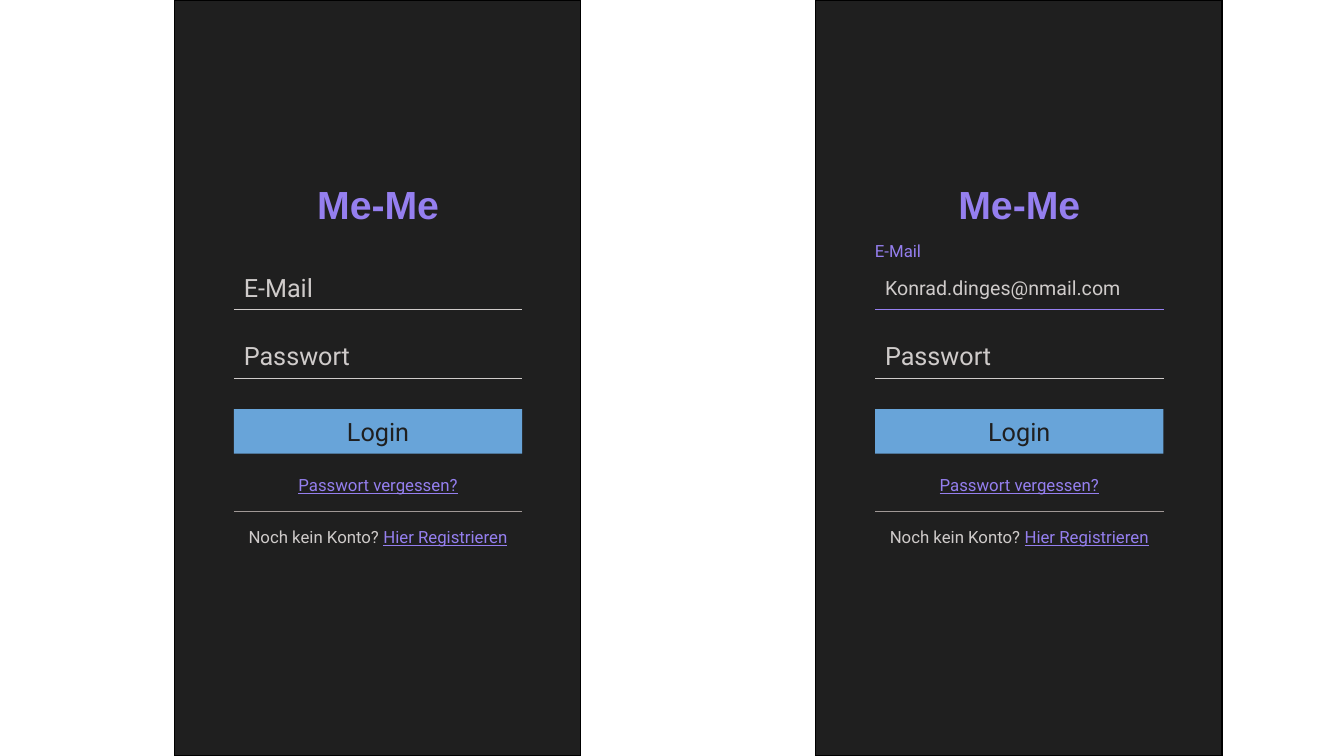
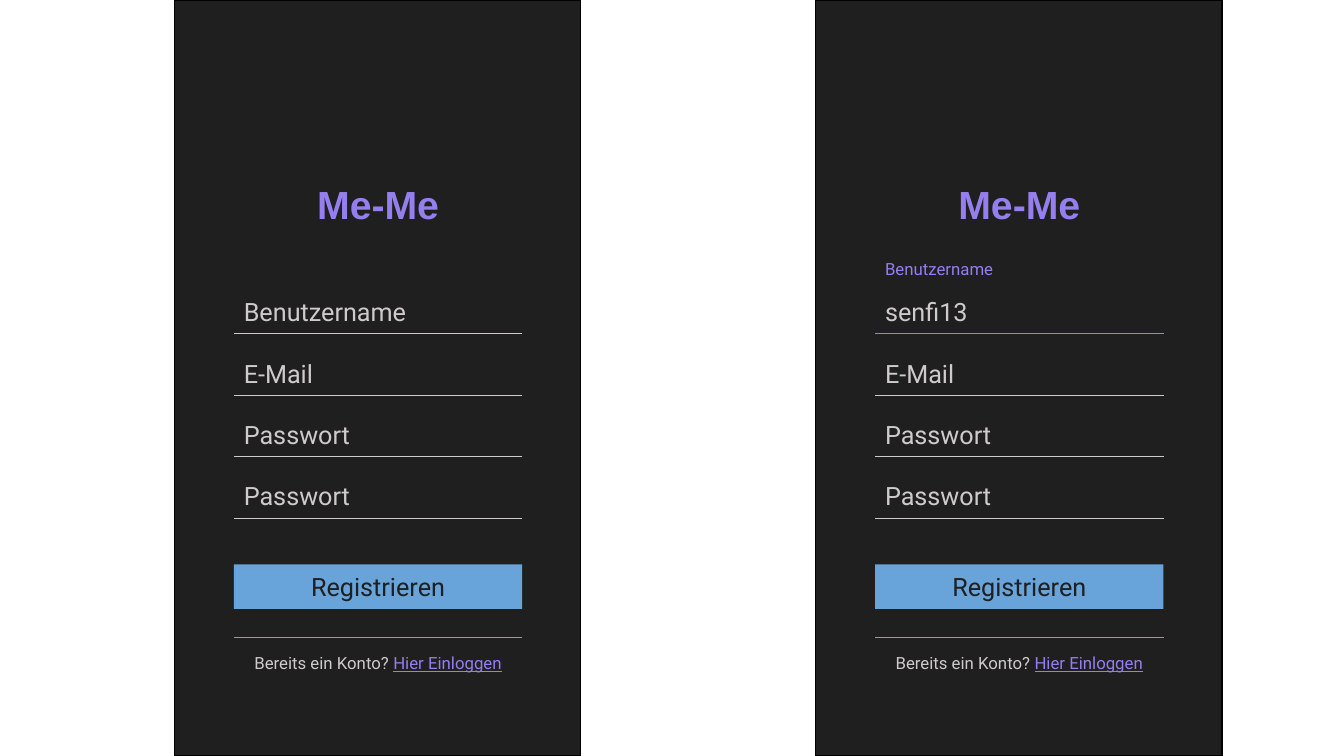
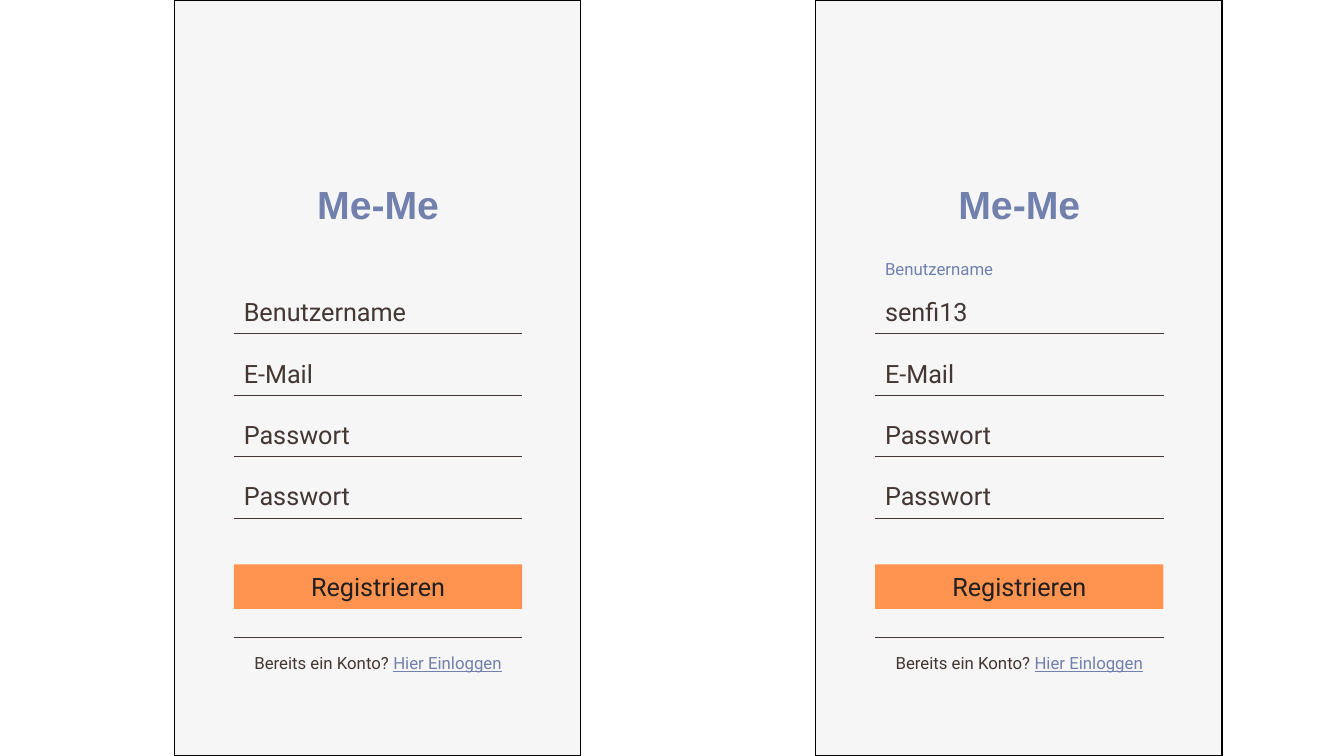
from dataclasses import dataclass

from lxml.etree import SubElement
from pptx import Presentation
from pptx.dml.color import RGBColor
from pptx.enum.shapes import MSO_CONNECTOR, MSO_SHAPE
from pptx.enum.text import MSO_ANCHOR, MSO_AUTO_SIZE, PP_ALIGN
from pptx.oxml.ns import qn
from pptx.shapes.base import BaseShape
from pptx.slide import Slide
from pptx.util import Inches, Pt

BLACK = RGBColor(0x00, 0x00, 0x00)
CHARCOAL = RGBColor(0x1F, 0x1F, 0x1F)
SILVER = RGBColor(0xCF, 0xCB, 0xCA)
TAUPE = RGBColor(0xA0, 0x98, 0x96)
VIOLET = RGBColor(0x95, 0x7F, 0xEF)
SKY = RGBColor(0x68, 0xA4, 0xD9)
PAPER = RGBColor(0xF6, 0xF6, 0xF6)
BROWN = RGBColor(0x43, 0x36, 0x33)
SLATE = RGBColor(0x71, 0x80, 0xAC)
ORANGE = RGBColor(0xFF, 0x93, 0x4F)

# Lengths in inches
SLIDE_WIDTH, SLIDE_HEIGHT = 13.33, 7.5
PHONE_LEFTS = (1.73, 8.09)
PHONE_WIDTH = 4.03
MARGIN = 0.59
ROW_WIDTH, ROW_HEIGHT = 2.86, 0.44
TITLE_TOP = 1.8
PROMPT_GAP = 0.04

BODY_SIZE, SMALL_SIZE = 18, 12


@dataclass(frozen=True)
class Theme:
    background: RGBColor
    text: RGBColor
    accent: RGBColor
    button: RGBColor
    divider: RGBColor
    focus: RGBColor


@dataclass(frozen=True)
class FilledField:
    """The first field once the user has typed in it, with its label moved above."""
    value: str
    size: int
    label_indent: float
    label_rise: float


@dataclass(frozen=True)
class Form:
    fields: tuple[str, ...]
    first_top: float
    step: float
    button: str
    button_top: float
    divider_top: float
    question: str
    link: str
    filled: FilledField
    help_link: str = ""
    help_top: float = 0


@dataclass(frozen=True)
class Span:
    text: str
    color: RGBColor
    underline: bool = False


DARK = Theme(CHARCOAL, SILVER, VIOLET, SKY, TAUPE, VIOLET)
LIGHT = Theme(PAPER, BROWN, SLATE, ORANGE, BROWN, BROWN)

LOGIN = Form(
    fields=("E-Mail", "Passwort"), first_top=2.63, step=0.68,
    button="Login", button_top=4.06, divider_top=5.07,
    question="Noch kein Konto? ", link="Hier Registrieren",
    filled=FilledField("Konrad.dinges@nmail.com", 14, -0.1, 0.36),
    help_link="Passwort vergessen?", help_top=4.59,
)
REGISTER = Form(
    fields=("Benutzername", "E-Mail", "Passwort", "Passwort"), first_top=2.87, step=0.61,
    button="Registrieren", button_top=5.6, divider_top=6.32,
    question="Bereits ein Konto? ", link="Hier Einloggen",
    filled=FilledField("senfi13", BODY_SIZE, 0, 0.42),
)
SCREENS = ((LOGIN, DARK), (REGISTER, DARK), (REGISTER, LIGHT))


def write(shape: BaseShape, *spans: Span, size: int = BODY_SIZE, font: str = "Roboto",
          bold: bool = False, align: PP_ALIGN = PP_ALIGN.LEFT) -> None:
    frame = shape.text_frame
    frame.word_wrap = True
    frame.auto_size = MSO_AUTO_SIZE.NONE
    frame.vertical_anchor = MSO_ANCHOR.MIDDLE
    para = frame.paragraphs[0]
    para.alignment = align
    for span in spans:
        run = para.add_run()
        run.text = span.text
        run.font.name = font
        run.font.size = Pt(size)
        run.font.bold = bold
        run.font.underline = span.underline
        run.font.color.rgb = span.color


def add_row_box(slide: Slide, left: float, top: float) -> BaseShape:
    return slide.shapes.add_textbox(
        Inches(left), Inches(top), Inches(ROW_WIDTH), Inches(ROW_HEIGHT))


def add_rectangle(slide: Slide, left: float, top: float, width: float, height: float,
                  fill: RGBColor) -> BaseShape:
    box = slide.shapes.add_shape(
        MSO_SHAPE.RECTANGLE, Inches(left), Inches(top), Inches(width), Inches(height))
    box.shadow.inherit = False
    box.fill.solid()
    box.fill.fore_color.rgb = fill
    box.line.fill.background()
    return box


def add_rule(slide: Slide, left: float, top: float, color: RGBColor) -> None:
    rule = slide.shapes.add_connector(
        MSO_CONNECTOR.STRAIGHT, Inches(left), Inches(top), Inches(left + ROW_WIDTH), Inches(top))
    rule.line.color.rgb = color
    rule.line.width = Pt(0.5)
    SubElement(rule._element.spPr, qn("a:effectLst"))


def add_phone(slide: Slide, left: float, theme: Theme) -> None:
    phone = add_rectangle(slide, left, 0, PHONE_WIDTH, SLIDE_HEIGHT, theme.background)
    phone.line.color.rgb = BLACK
    phone.line.width = Pt(1)


def raise_title(slide: Slide, left: float) -> BaseShape:
    """Place the title placeholder in the phone, in front of its background."""
    title = slide.shapes.title
    title.left, title.top = Inches(left), Inches(TITLE_TOP)
    title.width, title.height = Inches(ROW_WIDTH), Inches(ROW_HEIGHT)
    slide.shapes._spTree.append(title._element)
    return title


def add_fields(slide: Slide, left: float, form: Form, theme: Theme, is_filled: bool) -> None:
    for index, name in enumerate(form.fields):
        top = form.first_top + index * form.step
        text, size, rule_color = name, BODY_SIZE, theme.text
        if is_filled and index == 0:
            filled = form.filled
            text, size, rule_color = filled.value, filled.size, theme.focus
            label = add_row_box(slide, left + filled.label_indent, top - filled.label_rise)
            write(label, Span(name, theme.accent), size=SMALL_SIZE)
        write(add_row_box(slide, left, top), Span(text, theme.text), size=size)
        add_rule(slide, left, top + ROW_HEIGHT, rule_color)


def add_screen(slide: Slide, phone_left: float, form: Form, theme: Theme,
               is_filled: bool) -> None:
    add_phone(slide, phone_left, theme)
    left = phone_left + MARGIN
    heading = add_row_box(slide, left, TITLE_TOP) if is_filled else raise_title(slide, left)
    write(heading, Span("Me-Me", theme.accent), size=28, font="Arial", bold=True,
          align=PP_ALIGN.CENTER)
    add_fields(slide, left, form, theme, is_filled)
    button = add_rectangle(slide, left, form.button_top, ROW_WIDTH, ROW_HEIGHT, theme.button)
    write(button, Span(form.button, CHARCOAL), align=PP_ALIGN.CENTER)
    if form.help_link:
        write(add_row_box(slide, left, form.help_top),
              Span(form.help_link, theme.accent, underline=True),
              size=SMALL_SIZE, align=PP_ALIGN.CENTER)
    add_rule(slide, left, form.divider_top, theme.divider)
    write(add_row_box(slide, left, form.divider_top + PROMPT_GAP),
          Span(form.question, theme.text), Span(form.link, theme.accent, underline=True),
          size=SMALL_SIZE, align=PP_ALIGN.CENTER)


def main() -> None:
    deck = Presentation()
    deck.slide_width, deck.slide_height = Inches(SLIDE_WIDTH), Inches(SLIDE_HEIGHT)
    title_only = deck.slide_layouts.get_by_name("Title Only")
    for form, theme in SCREENS:
        slide = deck.slides.add_slide(title_only)
        for phone_left, is_filled in zip(PHONE_LEFTS, (False, True)):
            add_screen(slide, phone_left, form, theme, is_filled)
    deck.save("out.pptx")


if __name__ == "__main__":
    main()
